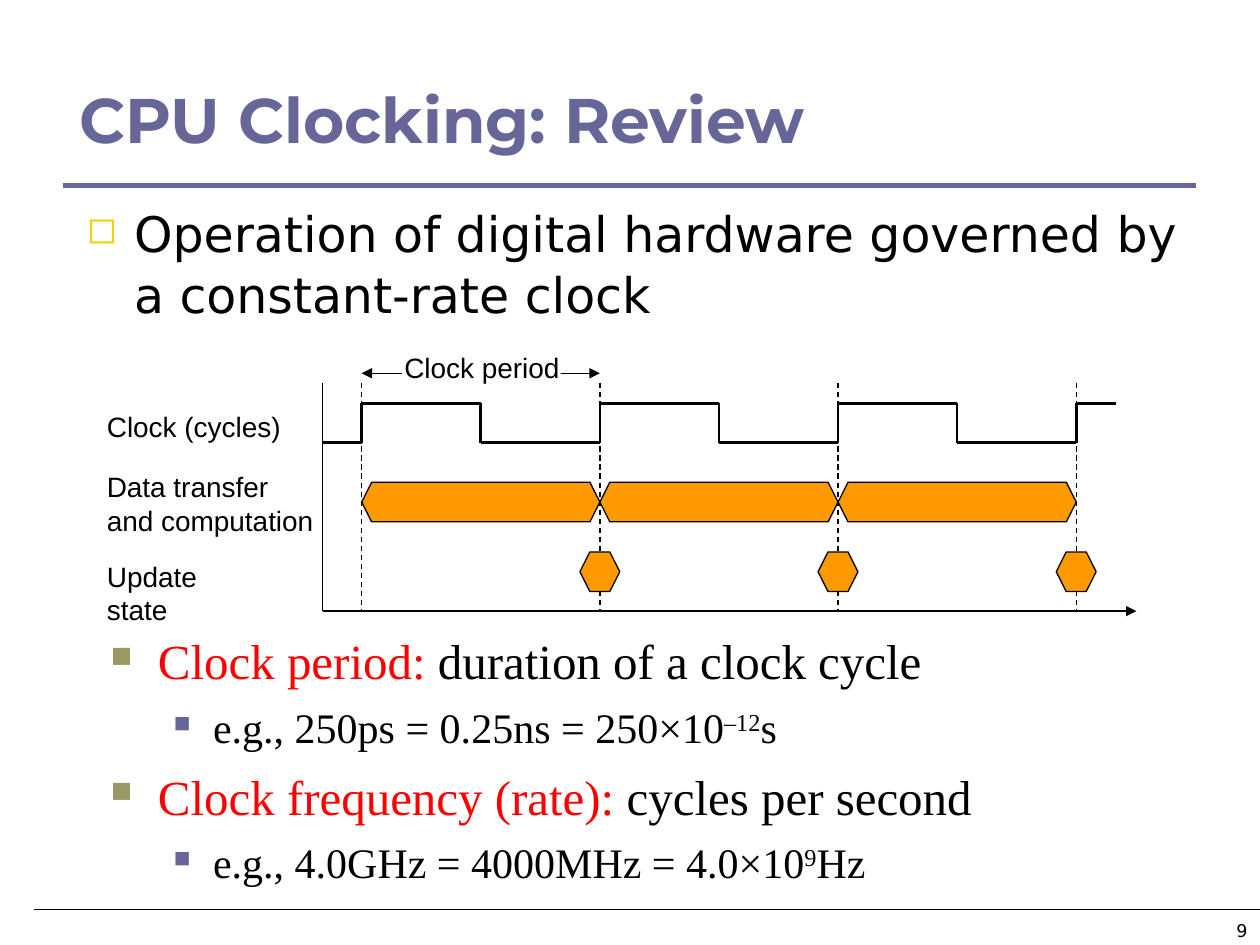
"""Builds the CPU clocking review slide with its timing diagram."""
from dataclasses import dataclass
from itertools import pairwise
from typing import Optional

from lxml import etree
from pptx import Presentation
from pptx.dml.color import RGBColor
from pptx.enum import dml, shapes, text
from pptx.oxml.ns import qn
from pptx.util import Pt

BLACK = RGBColor(0x00, 0x00, 0x00)
WHITE = RGBColor(0xFF, 0xFF, 0xFF)
INDIGO = RGBColor(0x66, 0x66, 0x99)
OLIVE = RGBColor(0x99, 0x99, 0x66)
YELLOW = RGBColor(0xFF, 0xCC, 0x00)
ORANGE = RGBColor(0xFF, 0x99, 0x00)
RED = RGBColor(0xFF, 0x00, 0x00)

AXIS_X, AXIS_TOP, AXIS_Y, AXIS_END = 184.5, 219, 349.2, 649.4
FIRST_EDGE, PERIOD, CYCLES = 206.7, 136.1, 3
HIGH, LOW, PERIOD_Y = 230.4, 252.9, 213.3
TRANSFER_Y, UPDATE_Y, HEX_HEIGHT, UPDATE_WIDTH = 275.6, 315.4, 22.6, 22.8
EDGES = [FIRST_EDGE + PERIOD * cycle for cycle in range(CYCLES + 1)]


@dataclass(frozen=True)
class Box:
    left: float
    top: float
    width: float
    height: float

    def lengths(self) -> tuple:
        return Pt(self.left), Pt(self.top), Pt(self.width), Pt(self.height)


@dataclass(frozen=True)
class Run:
    words: str
    color: RGBColor = BLACK
    raised: bool = False


@dataclass(frozen=True)
class Bullet:
    mark: str
    color: RGBColor
    percent: int
    margin: float
    hanging: float


@dataclass(frozen=True)
class Para:
    runs: tuple[Run, ...]
    size: float
    bullet: Optional[Bullet] = None
    before: float = 0
    level: int = 0


TOPIC = Bullet("◻", YELLOW, 75, 27, 27)
TERM = Bullet("■", OLIVE, 60, 27, 27)
EXAMPLE = Bullet("■", INDIGO, 55, 58.5, 22.5)


def add_bullet(paragraph, bullet: Bullet) -> None:
    """Give a paragraph its hanging bullet."""
    props = paragraph._p.get_or_add_pPr()
    props.set("marL", str(Pt(bullet.margin)))
    props.set("indent", str(-Pt(bullet.hanging)))
    color = etree.SubElement(props, qn("a:buClr"))
    etree.SubElement(color, qn("a:srgbClr"), val=str(bullet.color))
    etree.SubElement(props, qn("a:buSzPct"), val=str(bullet.percent * 1000))
    etree.SubElement(props, qn("a:buChar"), char=bullet.mark)


def add_text(slide, box: Box, paras: list[Para], *, font: str, bold: bool = False,
             wrap: bool = True, align=text.PP_ALIGN.LEFT,
             anchor=text.MSO_ANCHOR.TOP, spacing: Optional[float] = None) -> None:
    """Place formatted paragraphs in a text box."""
    frame = slide.shapes.add_textbox(*box.lengths()).text_frame
    frame.word_wrap = wrap
    frame.vertical_anchor = anchor
    for index, para in enumerate(paras):
        paragraph = frame.add_paragraph() if index else frame.paragraphs[0]
        paragraph.alignment = align
        paragraph.level = para.level
        if spacing:
            paragraph.line_spacing = spacing
        if para.before:
            paragraph.space_before = Pt(para.before)
        if para.bullet:
            add_bullet(paragraph, para.bullet)
        for part in para.runs:
            for row, words in enumerate(part.words.split("\n")):
                if row:
                    paragraph.add_line_break()
                run = paragraph.add_run()
                run.text = words
                run.font.name = font
                run.font.size = Pt(para.size)
                run.font.bold = bold
                run.font.color.rgb = part.color
                if part.raised:
                    run._r.get_or_add_rPr().set("baseline", "30000")


def add_line(slide, start: tuple, end: tuple, *, width: float = 0.75,
             color: RGBColor = BLACK, dashed: bool = False,
             arrows: tuple[str, ...] = ()) -> None:
    """Draw a straight line, with arrows at headEnd or tailEnd."""
    connector = slide.shapes.add_connector(
        shapes.MSO_CONNECTOR.STRAIGHT, *map(Pt, start + end))
    connector.line.width = Pt(width)
    connector.line.color.rgb = color
    if dashed:
        connector.line.dash_style = dml.MSO_LINE.DASH
    stroke = connector.line._get_or_add_ln()
    for arrow in arrows:
        etree.SubElement(stroke, qn(f"a:{arrow}"), type="triangle")
    etree.SubElement(connector._element.spPr, qn("a:effectLst"))


def add_block(slide, kind, box: Box, fill: RGBColor,
              outline: Optional[RGBColor] = None) -> None:
    """Draw a filled preset shape."""
    block = slide.shapes.add_shape(kind, *box.lengths())
    block.shadow.inherit = False
    block.fill.solid()
    block.fill.fore_color.rgb = fill
    if outline is None:
        block.line.fill.background()
    else:
        block.line.color.rgb = outline
        block.line.width = Pt(0.75)


def add_timing_diagram(slide) -> None:
    """Draw the clock wave, the activity rows and their labels."""
    add_line(slide, (EDGES[0], PERIOD_Y), (EDGES[1], PERIOD_Y),
             arrows=("headEnd", "tailEnd"))
    for edge in EDGES:
        add_line(slide, (edge, AXIS_TOP), (edge, AXIS_Y), dashed=True)

    wave = [(AXIS_X, LOW)]
    for edge in EDGES[:-1]:
        middle = edge + PERIOD / 2
        wave += [(edge, LOW), (edge, HIGH), (middle, HIGH), (middle, LOW)]
    wave += [(EDGES[-1], LOW), (EDGES[-1], HIGH), (EDGES[-1] + 22.6, HIGH)]
    for start, end in pairwise(wave):
        add_line(slide, start, end, width=1.5)

    add_line(slide, (AXIS_X, AXIS_Y), (AXIS_END, AXIS_Y), arrows=("tailEnd",))
    add_line(slide, (AXIS_X, AXIS_Y), (AXIS_X, AXIS_TOP))
    hexagon = shapes.MSO_SHAPE.HEXAGON
    for start, end in pairwise(EDGES):
        transfer = Box(start, TRANSFER_Y, PERIOD, HEX_HEIGHT)
        update = Box(end - UPDATE_WIDTH / 2, UPDATE_Y, UPDATE_WIDTH, HEX_HEIGHT)
        for box in (transfer, update):
            add_block(slide, hexagon, box, ORANGE, BLACK)

    add_block(slide, shapes.MSO_SHAPE.RECTANGLE, Box(229.7, 207.4, 90.7, 11.5), WHITE)
    left, center = text.PP_ALIGN.LEFT, text.PP_ALIGN.CENTER
    for label, box, align in (
        ("Clock (cycles)", Box(54, 230.4, 113.8, 26.6), left),
        ("Data transfer\nand computation", Box(54, 265, 132.5, 46), left),
        ("Update state", Box(54, 316, 104.4, 26.6), left),
        ("Clock period", Box(223.9, 196.6, 103, 26.6), center),
    ):
        add_text(slide, box, [Para((Run(label),), 16)], font="Arial",
                 wrap=False, align=align)


def main() -> None:
    """Build and save the slide."""
    deck = Presentation()
    deck.slide_width, deck.slide_height = Pt(720), Pt(540)
    slide = deck.slides.add_slide(deck.slide_layouts[6])
    add_line(slide, (36, 105.8), (683.3, 105.8), width=3, color=INDIGO)
    add_line(slide, (19.4, 519.8), (720, 519.8))
    add_text(slide, Box(38.2, 15.1, 648, 77.8),
             [Para((Run("CPU Clocking: Review", INDIGO),), 36)],
             font="Montserrat", bold=True, anchor=text.MSO_ANCHOR.BOTTOM)
    topic = "Operation of digital hardware governed by a constant-rate clock"
    add_text(slide, Box(42.5, 111.9, 651.6, 96.5), [Para((Run(topic),), 28, TOPIC)],
             font="DejaVu Sans", spacing=1.03)
    add_timing_diagram(slide)
    add_text(slide, Box(56.2, 356, 612, 153.4), [
        Para((Run("Clock period:", RED), Run(" duration of a clock cycle")), 28, TERM),
        Para((Run("e.g., 250ps = 0.25ns = 250×10"), Run("–12", raised=True), Run("s")),
             24, EXAMPLE, 6, 1),
        Para((Run("Clock frequency (rate): ", RED), Run("cycles per second")),
             28, TERM, 7),
        Para((Run("e.g., 4.0GHz = 4000MHz = 4.0×10"), Run("9", raised=True), Run("Hz")),
             24, EXAMPLE, 6, 1),
    ], font="Times New Roman", spacing=1.03)
    add_text(slide, Box(552.2, 522, 167.8, 18), [Para((Run("9"),), 10)],
             font="DejaVu Sans", align=text.PP_ALIGN.RIGHT)
    deck.save("out.pptx")


if __name__ == "__main__":
    main()
